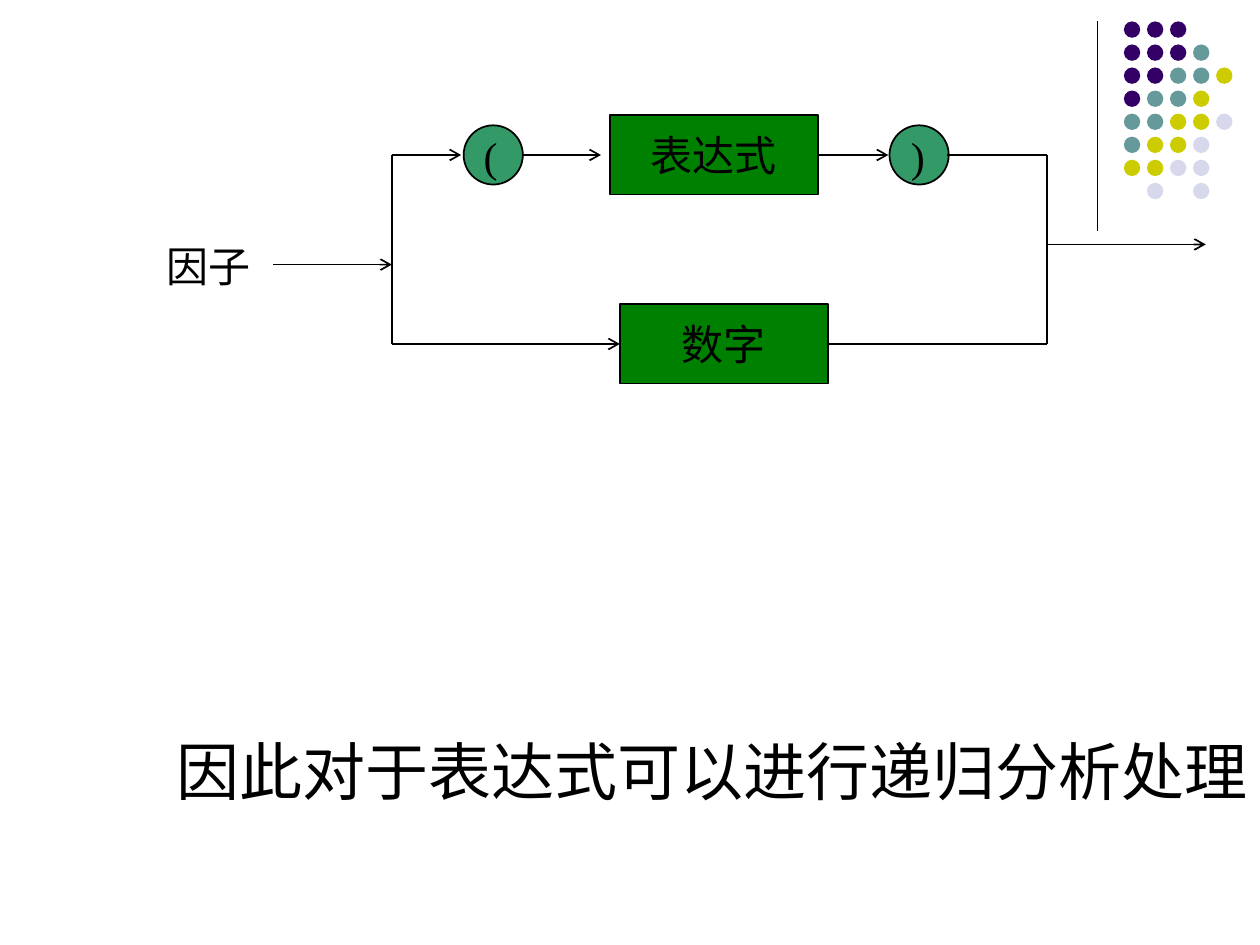
from typing import NamedTuple, Optional

from lxml.etree import SubElement
from pptx import Presentation
from pptx.dml.color import RGBColor
from pptx.enum.shapes import MSO_CONNECTOR as Conn, MSO_SHAPE as Kind
from pptx.enum.text import MSO_ANCHOR as Anchor, PP_ALIGN as Align
from pptx.oxml.ns import qn
from pptx.util import Emu, Inches, Pt

FONT = "Times New Roman"
BLACK = "000000"
COLS, ROWS = 100, 75  # grid over the whole slide

# Rails of the diagram, in columns and rows
LEFT, RIGHT = 31.1, 83.1
TOP, LOW = 12.3, 27.3
RING = 4.7

DOTS = ["PPP", "PPPT", "PPTTY", "PTTY", "TTYYL", "TYYL", "YYLL", " L L"]
SHADES = {"P": "330066", "T": "669999", "Y": "CCCC00", "L": "D8D8EC"}
PITCH, DOT = 1.83, 1.3


class Node(NamedTuple):
    kind: Kind
    col: float
    mid: float
    wide: float
    high: float
    fill: str
    text: str = ""


class Label(NamedTuple):
    text: str
    col: float
    row: float
    wide: float
    high: float
    size: int = 24
    anchor: Anchor = Anchor.TOP


class Link(NamedTuple):
    x1: float
    y1: float
    x2: float
    y2: float
    arrow: bool = False
    start: Optional[str] = None  # box whose right side begins the line
    end: Optional[tuple] = None  # box and side where the line ends
    width: float = 1


NODES = [
    Node(Kind.RECTANGLE, 48.4, TOP, 16.5, 6.3, "008000", "表达式"),
    Node(Kind.OVAL, 36.8, TOP, RING, RING, "339966"),
    Node(Kind.OVAL, 70.6, TOP, RING, RING, "339966"),
    Node(Kind.RECTANGLE, 49.2, LOW, 16.5, 6.3, "008000", "数字"),
]

LABELS = [
    Label("因子", 12.2, 18.6, 9.4, 5),
    Label("(", 37.4, 9.9, 3.9, 5),
    Label(")", 71.3, 9.9, 3.9, 5),
    Label("因此对于表达式可以进行递归分析处理", 13, 46.9, 87, 17.7, 36, Anchor.BOTTOM),
]

LINKS = [
    Link(87.1, 1.7, 87.1, 18.3, width=0.75),
    Link(21.7, 21, LEFT, 21, True),
    Link(LEFT, TOP, LEFT, LOW),
    Link(LEFT, TOP, 36.6, TOP, True),
    Link(41.4, TOP, 47.7, TOP, True),
    Link(64.9, TOP, 70.5, TOP, True, start="表达式"),
    Link(RIGHT, TOP, 75.2, TOP),
    Link(LEFT, LOW, 49.2, LOW, True, end=("数字", 1)),
    Link(RIGHT, LOW, 65.7, LOW, end=("数字", 3)),
    Link(RIGHT, TOP, RIGHT, LOW),
    Link(RIGHT, 19.4, 95.7, 19.4, True),
]

deck = Presentation()
deck.slide_width, deck.slide_height = Inches(10), Inches(7.5)
slide = deck.slides.add_slide(deck.slide_layouts[6])


def across(cols: float) -> Emu:
    return Emu(round(deck.slide_width * cols / COLS))


def down(rows: float) -> Emu:
    return Emu(round(deck.slide_height * rows / ROWS))


def area(col: float, row: float, wide: float, high: float) -> tuple:
    return across(col), down(row), across(wide), down(high)


def paint(fmt, shade: str) -> None:
    """Give a fill, line fill or font colour a hex shade."""
    if hasattr(fmt, "solid"):
        fmt.solid()
        fmt = fmt.fore_color
    fmt.rgb = RGBColor.from_string(shade)


def write(shape, text: str, size: int) -> None:
    para = shape.text_frame.paragraphs[0]
    para.text = text
    para.font.name, para.font.size = FONT, Pt(size)
    paint(para.font.color, BLACK)


def draw_dots() -> None:
    group = slide.shapes.add_group_shape()
    for row, line in enumerate(DOTS):
        for col, key in enumerate(line):
            if key in SHADES:
                spot = area(89.2 + col * PITCH, 1.7 + row * PITCH, DOT, DOT)
                dot = group.shapes.add_shape(Kind.OVAL, *spot)
                dot.shadow.inherit = False
                paint(dot.fill, SHADES[key])
                dot.line.fill.background()


def draw_node(node: Node):
    spot = area(node.col, node.mid - node.high / 2, node.wide, node.high)
    shape = slide.shapes.add_shape(node.kind, *spot)
    shape.shadow.inherit = False
    paint(shape.fill, node.fill)
    paint(shape.line.fill, BLACK)
    shape.line.width = Pt(1)
    if node.text:
        shape.text_frame.word_wrap = False
        shape.text_frame.vertical_anchor = Anchor.MIDDLE
        write(shape, node.text, 24)
        shape.text_frame.paragraphs[0].alignment = Align.CENTER
    return shape


def draw_label(label: Label) -> None:
    box = slide.shapes.add_textbox(
        *area(label.col, label.row, label.wide, label.high))
    frame = box.text_frame
    frame.word_wrap = True
    frame.margin_right = 0
    frame.vertical_anchor = label.anchor
    write(box, label.text, label.size)


def draw_link(link: Link, boxes: dict) -> None:
    line = slide.shapes.add_connector(
        Conn.STRAIGHT, across(link.x1), down(link.y1),
        across(link.x2), down(link.y2))
    if link.start:
        line.begin_connect(boxes[link.start], 3)
    if link.end:
        name, side = link.end
        line.end_connect(boxes[name], side)
    paint(line.line.fill, BLACK)
    line.line.width = Pt(link.width)
    props = line._element.spPr
    if link.arrow:
        SubElement(props.find(qn("a:ln")), qn("a:tailEnd"), type="arrow")
    SubElement(props, qn("a:effectLst"))


def main() -> None:
    draw_dots()
    boxes = {node.text: draw_node(node) for node in NODES}
    for link in LINKS:
        draw_link(link, boxes)
    for label in LABELS:
        draw_label(label)
    deck.save("out.pptx")


if __name__ == "__main__":
    main()
